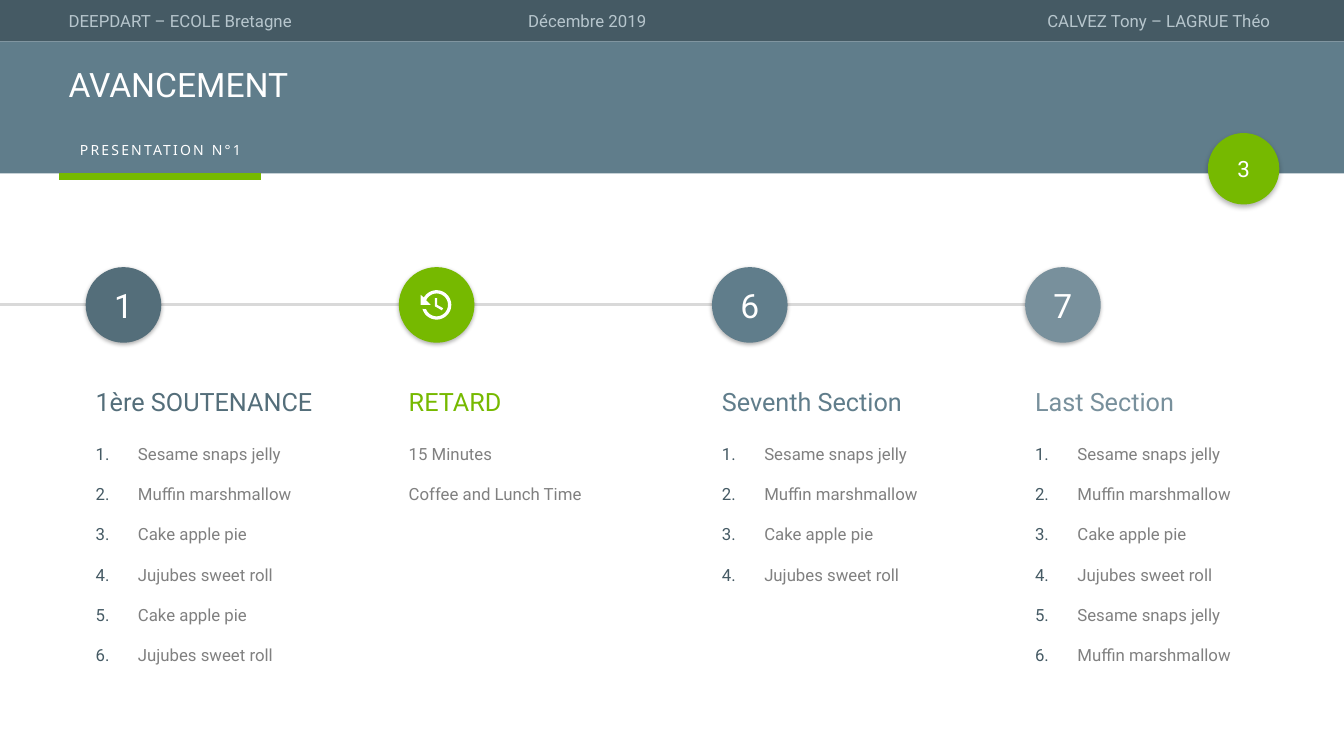
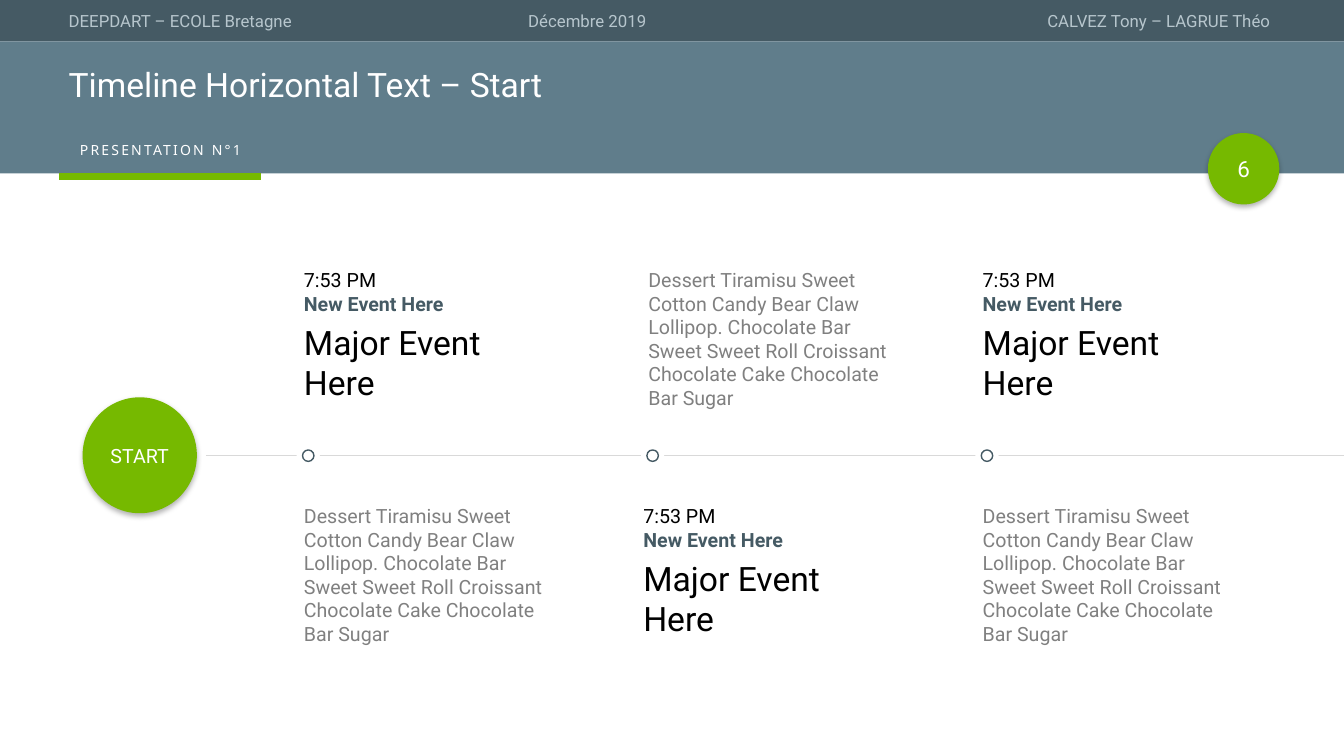
from dataclasses import dataclass
from math import cos, radians, sin
from typing import Optional

from lxml.etree import SubElement
from pptx import Presentation
from pptx.dml.color import RGBColor
from pptx.enum.shapes import MSO_CONNECTOR, MSO_SHAPE
from pptx.enum.text import MSO_ANCHOR, PP_ALIGN
from pptx.oxml.ns import qn
from pptx.shapes.autoshape import Shape
from pptx.slide import Slide
from pptx.text.text import TextFrame, _Paragraph
from pptx.util import Emu, Inches, Pt

COLUMNS, ROWS = 160, 90
SLIDE_WIDTH, SLIDE_HEIGHT = Inches(13.33), Inches(7.5)


@dataclass(frozen=True)
class Theme:
    font: str = "Roboto"
    tab_font: str = "Noto Sans"
    dark: str = "455A64"
    slate: str = "546E7A"
    band: str = "607D8B"
    mist: str = "78909C"
    header: str = "B7C6CD"
    accent: str = "76B900"
    rule: str = "D9D9D9"
    body: str = "808080"
    white: str = "FFFFFF"
    black: str = "000000"
    tab_size: float = 10
    small: float = 12
    medium: float = 14
    badge: float = 16
    heading: float = 18
    large: float = 24
    list_gap: float = 14.4


THEME = Theme()


@dataclass(frozen=True)
class Box:
    """A rectangle in grid columns and rows."""
    left: float
    top: float
    width: float
    height: float


@dataclass(frozen=True)
class Shadow:
    color: str = THEME.black
    opacity: int = 30
    blur: float = 4
    distance: float = 2
    scale: int = 100


@dataclass(frozen=True)
class HeaderText:
    text: str
    box: Box
    align: PP_ALIGN = PP_ALIGN.LEFT


@dataclass(frozen=True)
class Section:
    label: Optional[str]  # None draws the history icon
    heading: str
    color: str
    items: tuple[str, ...]
    numbered: bool = True


@dataclass(frozen=True)
class Event:
    event_row: int
    nudge: float = 0


BADGE_SHADOW = Shadow()
STEP_SHADOW = Shadow(blur=3, distance=1)
HALO = Shadow(THEME.white, 100, 0, 0, 180)

HEADERS = (
    HeaderText("DEEPDART – ECOLE Bretagne", Box(7, 0.7, 66.7, 3.6)),
    HeaderText("Décembre 2019", Box(61.7, 0.7, 66.7, 3.6)),
    HeaderText("CALVEZ Tony – LAGRUE Théo", Box(85.7, 0.7, 66.7, 3.6), PP_ALIGN.RIGHT),
)

JELLY, MUFFIN = "Sesame snaps jelly", "Muffin marshmallow"
PIE, ROLL = "Cake apple pie", "Jujubes sweet roll"
BASE_ITEMS = (JELLY, MUFFIN, PIE, ROLL)
SECTIONS = (
    Section("1", "1ère SOUTENANCE", THEME.slate, BASE_ITEMS + (PIE, ROLL)),
    Section(None, "RETARD", THEME.accent, ("15 Minutes", "Coffee and Lunch Time"), False),
    Section("6", "Seventh Section", THEME.band, BASE_ITEMS),
    Section("7", "Last Section", THEME.mist, BASE_ITEMS + (JELLY, MUFFIN)),
)

EVENTS = (Event(0), Event(1, 0.6), Event(0))
DESCRIPTION = ("Dessert Tiramisu Sweet Cotton Candy Bear Claw Lollipop. Chocolate Bar "
               "Sweet Sweet Roll Croissant Chocolate Cake Chocolate Bar Sugar")


def across(columns: float) -> Emu:
    return Emu(round(SLIDE_WIDTH * columns / COLUMNS))


def down(rows: float) -> Emu:
    return Emu(round(SLIDE_HEIGHT * rows / ROWS))


def place(box: Box) -> tuple[Emu, Emu, Emu, Emu]:
    return across(box.left), down(box.top), across(box.width), down(box.height)


def write(frame: TextFrame, text: str, *, size: float, color: str, font: str = THEME.font,
          bold: bool = False, align: PP_ALIGN = PP_ALIGN.LEFT, before: float = 0,
          line_spacing: Optional[float] = None, tracking: float = 0) -> _Paragraph:
    """Put text in the frame's empty first paragraph, or in a new one."""
    paragraph = frame.paragraphs[0]
    if paragraph.runs:
        paragraph = frame.add_paragraph()
    paragraph.alignment = align
    paragraph.space_before = Pt(before)
    if line_spacing:
        paragraph.line_spacing = line_spacing
    run = paragraph.add_run()
    run.text = text
    run.font.size, run.font.name, run.font.bold = Pt(size), font, bold
    run.font.color.rgb = RGBColor.from_string(color)
    if tracking:
        run.font._element.set("spc", str(round(tracking * 100)))
    return paragraph


def number(paragraph: _Paragraph) -> None:
    """Give the paragraph an automatic dark number and a hanging indent."""
    properties = paragraph._p.get_or_add_pPr()
    indent = Inches(0.42)
    properties.set("marL", str(indent))
    properties.set("indent", str(-indent))
    SubElement(SubElement(properties, qn("a:buClr")), qn("a:srgbClr"), val=THEME.dark)
    SubElement(properties, qn("a:buFont"), typeface=THEME.font)
    SubElement(properties, qn("a:buAutoNum"), type="arabicPeriod")


def add_frame(slide: Slide, box: Box) -> TextFrame:
    frame = slide.shapes.add_textbox(*place(box)).text_frame
    frame.word_wrap = True
    return frame


def paint(shape: Shape, fill: str, outline: Optional[str] = None) -> None:
    shape.shadow.inherit = False
    shape.fill.solid()
    shape.fill.fore_color.rgb = RGBColor.from_string(fill)
    if outline:
        shape.line.color.rgb = RGBColor.from_string(outline)
        shape.line.width = Pt(1)
    else:
        shape.line.fill.background()


def cast(shape: Shape, shadow: Shadow) -> None:
    effects = shape._element.spPr.find(qn("a:effectLst"))
    scale = str(shadow.scale * 1000)
    outer = SubElement(effects, qn("a:outerShdw"), blurRad=str(Pt(shadow.blur)),
                       dist=str(Pt(shadow.distance)), dir="5400000", sx=scale, sy=scale,
                       algn="ctr", rotWithShape="0")
    color = SubElement(outer, qn("a:srgbClr"), val=shadow.color)
    SubElement(color, qn("a:alpha"), val=str(shadow.opacity * 1000))


def add_band(slide: Slide, box: Box, fill: str) -> None:
    paint(slide.shapes.add_shape(MSO_SHAPE.RECTANGLE, *place(box)), fill)


def add_disc(slide: Slide, box: Box, fill: str, shadow: Shadow, label: Optional[str] = None,
             size: float = THEME.large, outline: Optional[str] = None) -> None:
    disc = slide.shapes.add_shape(MSO_SHAPE.OVAL, *place(box))
    paint(disc, fill, outline)
    cast(disc, shadow)
    if label:
        frame = disc.text_frame
        frame.margin_left = frame.margin_right = frame.margin_top = frame.margin_bottom = 0
        frame.vertical_anchor = MSO_ANCHOR.MIDDLE
        write(frame, label, size=size, color=THEME.white, align=PP_ALIGN.CENTER)


def add_rule(slide: Slide, start: float, end: float, row: float, color: str, weight: float) -> None:
    rule = slide.shapes.add_connector(MSO_CONNECTOR.STRAIGHT, across(start), down(row),
                                      across(end), down(row))
    rule.line.color.rgb = RGBColor.from_string(color)
    rule.line.width = Pt(weight)
    SubElement(rule._element.spPr, qn("a:effectLst"))


def arc(radius: float, start: int, end: int) -> list[tuple[float, float]]:
    """Points on a circle about the origin, with angles in degrees, clockwise."""
    steps = 40
    angles = [radians(start + (end - start) * step / steps) for step in range(steps + 1)]
    return [(radius * cos(angle), radius * sin(angle)) for angle in angles]


def add_history_icon(slide: Slide, column: float, row: float) -> None:
    arrow = [(-1.9, -1.2), (-1.9, 0), (-0.7, 0), (-1.2, -0.5)]
    ring = arc(1.75, 164, -150) + arrow + arc(1.36, 202, 518)
    hand = [(-0.2, -0.8), (-0.2, 0.17), (0.63, 0.65), (0.78, 0.4), (0.08, 0), (0.08, -0.8)]
    outlines = [[(across(column + x), down(row + y)) for x, y in points]
                for points in (ring, hand)]
    builder = slide.shapes.build_freeform(*outlines[0][0], scale=1.0)
    builder.add_line_segments(outlines[0][1:], close=True)
    builder.move_to(*outlines[1][0])
    builder.add_line_segments(outlines[1][1:], close=True)
    paint(builder.convert_to_shape(), THEME.white)


def add_base_slide(presentation: Presentation, title: str, page: str) -> Slide:
    slide = presentation.slides.add_slide(presentation.slide_layouts[6])
    add_band(slide, Box(0, 0, COLUMNS, 4.92), THEME.dark)
    add_band(slide, Box(0, 4.92, COLUMNS, 15.72), THEME.band)
    for header in HEADERS:
        write(add_frame(slide, header.box), header.text, size=THEME.small,
              color=THEME.header, align=header.align)
    add_disc(slide, Box(143.8, 15.84, 8.5, 8.5), THEME.accent, BADGE_SHADOW, page, THEME.badge)
    write(add_frame(slide, Box(7, 16.2, 24.2, 3.2)), "PRESENTATION N°1", size=THEME.tab_size,
          color=THEME.white, font=THEME.tab_font, align=PP_ALIGN.CENTER, tracking=1.6)
    add_rule(slide, 7, 31.1, 21, THEME.accent, 4.5)
    write(add_frame(slide, Box(7, 7.6, 147.4, 5.6)), title, size=THEME.large,
          color=THEME.white, line_spacing=0.9)
    return slide


def add_section(slide: Slide, section: Section, left: float, top: float, diameter: float) -> None:
    add_disc(slide, Box(left, top, diameter, diameter), section.color, STEP_SHADOW, section.label)
    if section.label is None:
        add_history_icon(slide, left + diameter / 2, top + diameter / 2)
    write(add_frame(slide, Box(left, 45.4, 35.6, 4.8)), section.heading,
          size=THEME.heading, color=section.color)
    frame = add_frame(slide, Box(left, 52.2, 35.6, 30.2))
    for index, item in enumerate(section.items):
        paragraph = write(frame, item, size=THEME.small, color=THEME.body,
                          before=THEME.list_gap if index else 0)
        if section.numbered:
            number(paragraph)


def add_progress_slide(presentation: Presentation) -> None:
    slide = add_base_slide(presentation, "AVANCEMENT", "3")
    first, pitch, top, diameter = 10.2, 37.28, 31.8, 9
    lefts = [first + pitch * index for index in range(len(SECTIONS))]
    add_rule(slide, 0, lefts[-1], top + diameter / 2, THEME.rule, 2)
    for section, left in zip(SECTIONS, lefts):
        add_section(slide, section, left, top, diameter)


def add_event(slide: Slide, event: Event, left: float, axis: float) -> None:
    tops = (31.3, 59.4)
    dot = 1.36
    shifted = left + event.nudge
    add_disc(slide, Box(shifted + 1.7 - dot / 2, axis - dot / 2, dot, dot), THEME.white,
             HALO, outline=THEME.dark)
    frame = add_frame(slide, Box(left, tops[event.event_row], 40, 17.4))
    write(frame, "7:53 PM", size=THEME.medium, color=THEME.black)
    write(frame, "New Event Here", size=THEME.medium, color=THEME.dark, bold=True)
    write(frame, "Major Event", size=THEME.large, color=THEME.black, before=4.8)
    write(frame, "Here", size=THEME.large, color=THEME.black)
    write(add_frame(slide, Box(shifted, tops[1 - event.event_row], 32.5, 18.1)),
          DESCRIPTION, size=THEME.medium, color=THEME.body)


def add_timeline_slide(presentation: Presentation) -> None:
    slide = add_base_slide(presentation, "Timeline Horizontal Text – Start", "6")
    first, pitch, axis = 35, 40.4, 54.25
    add_rule(slide, 24.5, COLUMNS, axis, THEME.rule, 0.75)
    add_disc(slide, Box(9.84, 47.3, 13.6, 13.8), THEME.accent, BADGE_SHADOW, "START", THEME.medium)
    for index, event in enumerate(EVENTS):
        add_event(slide, event, first + pitch * index, axis)


def main() -> None:
    presentation = Presentation()
    presentation.slide_width, presentation.slide_height = SLIDE_WIDTH, SLIDE_HEIGHT
    add_progress_slide(presentation)
    add_timeline_slide(presentation)
    presentation.save("out.pptx")


if __name__ == "__main__":
    main()
